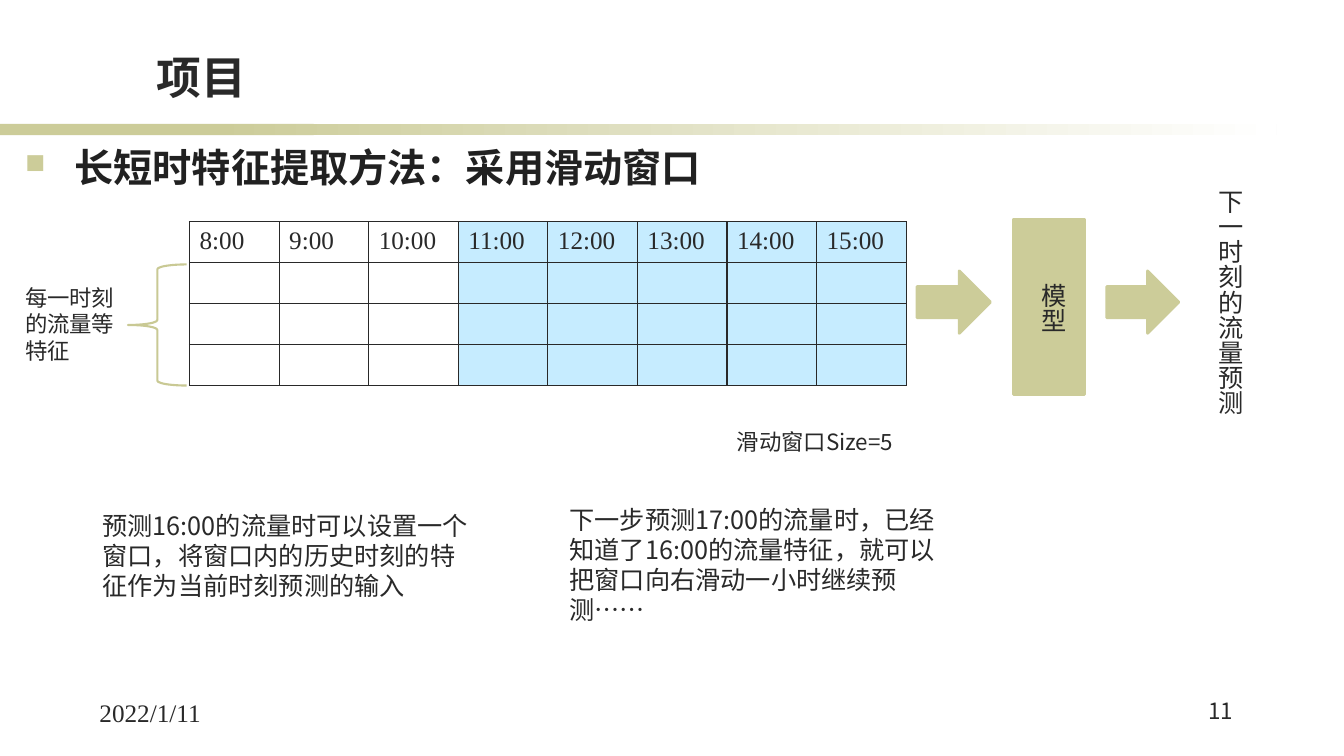
import pptx
import pptx.dml.color
import pptx.enum.shapes
import pptx.enum.text
import pptx.oxml
import pptx.oxml.ns
import pptx.util

Pt = pptx.util.Pt
SHAPE = pptx.enum.shapes.MSO_SHAPE
ALIGN = pptx.enum.text.PP_ALIGN
COLORS = {"olive": "CCCC99", "brace": "C9C994", "ink": "292929",
          "heading": "212121", "window": "66CCFF", "white": "FFFFFF"}
SANS, SERIF = "Noto Sans CJK SC", "Times New Roman"
HOURS = range(8, 16)
WINDOW_SIZE = 5
HEADER_FORMAT = {"size": Pt(18), "name": SERIF}
NOTE_FORMAT = {"size": Pt(16), "name": SANS}
BODY_FORMAT = {"size": Pt(18), "name": SANS}


def rgb(color):
    """Return the named colour."""
    return pptx.dml.color.RGBColor.from_string(COLORS[color])


def xml_node(tag, attributes="", inner=""):
    """Build one drawing element."""
    namespace = pptx.oxml.ns.nsdecls("a")
    return pptx.oxml.parse_xml(f"<a:{tag} {namespace} {attributes}>{inner}</a:{tag}>")


def write(frame, words, font_format, color="ink", align=ALIGN.LEFT):
    """Put formatted words into a text frame."""
    paragraph = frame.paragraphs[0]
    paragraph.alignment = align
    run = paragraph.add_run()
    run.text = words
    for attribute, value in font_format.items():
        setattr(run.font, attribute, value)
    run.font.color.rgb = rgb(color)
    run.font._element.append(xml_node("ea", f'typeface="{SANS}"'))
    if font_format["name"] == SANS:
        paragraph.line_spacing = Pt(round(font_format["size"].pt * 1.19, 1))
    return paragraph


def add_text(slide, box, words, font_format, vertical=False, **options):
    """Add a wrapped text box, optionally set in vertical columns."""
    frame = slide.shapes.add_textbox(*map(Pt, box)).text_frame
    frame.word_wrap = True
    if vertical:
        frame._txBody.bodyPr.set("vert", "eaVert")
    return write(frame, words, font_format, **options)


def add_block(slide, kind, box, line_width=0):
    """Add a flat olive shape."""
    block = slide.shapes.add_shape(kind, *map(Pt, box))
    block.shadow.inherit = False
    block.fill.solid()
    block.fill.fore_color.rgb = rgb("olive")
    if line_width:
        block.line.color.rgb = rgb("olive")
        block.line.width = Pt(line_width)
    else:
        block.line.fill.background()
    return block


def add_heading(slide, box):
    """Place the title, the fading rule and the topic line."""
    left, top, width, height = box
    add_block(slide, SHAPE.RECTANGLE, (left, top + 88.5, 224, 8))
    fade = add_block(slide, SHAPE.RECTANGLE, (left + 152, top + 88.5, 760, 8)).fill
    fade.gradient()
    fade.gradient_angle = 0
    for stop, color in zip(fade.gradient_stops, ("olive", "white")):
        stop.color.rgb = rgb(color)

    title = slide.shapes.title
    title_place = {"left": left + 104.4, "top": top + 28.8, "width": 590, "height": 45.4}
    for attribute, value in title_place.items():
        setattr(title, attribute, Pt(value))
    frame_format = {"vertical_anchor": pptx.enum.text.MSO_ANCHOR.BOTTOM,
                    "auto_size": pptx.enum.text.MSO_AUTO_SIZE.NONE,
                    "margin_bottom": 0}
    for attribute, value in frame_format.items():
        setattr(title.text_frame, attribute, value)
    write(title.text_frame, "项目", {"size": Pt(32), "name": SERIF, "bold": True})

    topic = add_text(slide, (left + 10.8, top + 99, width - 92, height - 99),
                     "长短时特征提取方法：采用滑动窗口",
                     {"size": Pt(28), "name": SANS, "bold": True}, color="heading")
    properties = topic._p.get_or_add_pPr()
    properties.set("marL", str(Pt(35.3)))
    properties.set("indent", str(-Pt(35.3)))
    properties.append(xml_node("buClr", inner=f'<a:srgbClr val="{COLORS["olive"]}"/>'))
    properties.append(xml_node("buSzPct", 'val="70000"'))
    properties.append(xml_node("buChar", 'char="■"'))


def format_cell(cell, in_window):
    """Outline a cell and tint it when it lies in the window."""
    if in_window:
        cell.fill.solid()
        cell.fill.fore_color.rgb = rgb("window")
        tint = cell._tc.tcPr.find(".//" + pptx.oxml.ns.qn("a:srgbClr"))
        tint.append(xml_node("alpha", 'val="37000"'))
    else:
        cell.fill.background()
    ink = f'<a:solidFill><a:srgbClr val="{COLORS["ink"]}"/></a:solidFill>'
    for position, edge in enumerate(("lnL", "lnR", "lnT", "lnB")):
        cell._tc.tcPr.insert(position, xml_node(edge, f'w="{Pt(1)}"', ink))


def add_hours(slide, box):
    """Place the table of hours with its sliding window, brace and labels."""
    left, top, width, height = box
    row_count = 4
    hours = slide.shapes.add_table(row_count, len(HOURS), *map(Pt, box)).table
    hours.first_row = hours.horz_banding = False
    for column in hours.columns:
        column.width = Pt(width / len(HOURS))
    for row in hours.rows:
        row.height = Pt(height / row_count)
        for index, cell in enumerate(row.cells):
            format_cell(cell, index >= len(HOURS) - WINDOW_SIZE)
    for index, hour in enumerate(HOURS):
        write(hours.cell(0, index).text_frame, f"{hour}:00", HEADER_FORMAT)

    brace = slide.shapes.add_shape(SHAPE.LEFT_BRACE, Pt(left - 44), Pt(top + 30.5),
                                   Pt(42), Pt(86.5))
    brace.shadow.inherit = False
    brace.fill.background()
    brace.line.color.rgb = rgb("brace")
    brace.line.width = Pt(1.5)
    add_text(slide, (left - 124.6, top + 41, 88.6, 65.5), "每一时刻的流量等特征", NOTE_FORMAT)
    add_text(slide, (left + 383.8, top + 144, 161, 26.6),
             f"滑动窗口Size={WINDOW_SIZE}", NOTE_FORMAT)


def add_model(slide, box):
    """Place the flow from the window through the model to the forecast."""
    left, top, width, height = box
    for offset, arrow_width in ((0, 52.5), (135.5, 51.5)):
        add_block(slide, SHAPE.RIGHT_ARROW,
                  (left + offset, top + 65.5, arrow_width, 44.6), 2)
    add_block(slide, SHAPE.RECTANGLE, (left + 68.8, top + 28.5, 51, 125.3), 2)
    add_text(slide, (left + 75.6, top + 67, 36, 64), "模型", HEADER_FORMAT, vertical=True)
    add_text(slide, (left + width - 36, top, 36, height),
             "下一时刻的流量预测", HEADER_FORMAT, vertical=True)


def add_explanations(slide, box):
    """Place the two remarks on how the window moves."""
    left, top, width, height = box
    column = 281.5
    add_text(slide, (left, top + 4.3, column, height - 21),
             "预测16:00的流量时可以设置一个窗口，将窗口内的历史时刻的特征作为当前时刻预测的输入",
             BODY_FORMAT)
    add_text(slide, (left + width - column, top, column, height),
             "下一步预测17:00的流量时，已经知道了16:00的流量特征，就可以把窗口向右滑动一小时继续预测……",
             BODY_FORMAT)


def add_footer(slide, box):
    """Place the date and the page number."""
    left, top, width, height = box
    add_text(slide, (left, top, 136, height), "2022/1/11", HEADER_FORMAT)
    add_text(slide, (left + width - 48, top, 48, height), "11", NOTE_FORMAT,
             align=ALIGN.RIGHT)


def main():
    """Build and save the slide."""
    deck = pptx.Presentation()
    deck.slide_width, deck.slide_height = Pt(960), Pt(540)
    slide = deck.slides.add_slide(deck.slide_layouts.get_by_name("Title Only"))
    add_heading(slide, (0, 0, 960, 138))
    add_hours(slide, (135.4, 158.4, 512, 117))
    add_model(slide, (655, 128, 238, 188))
    add_explanations(slide, (66.2, 357, 615, 94.3))
    add_footer(slide, (64, 494.6, 824, 36))
    deck.save("out.pptx")


if __name__ == "__main__":
    main()
